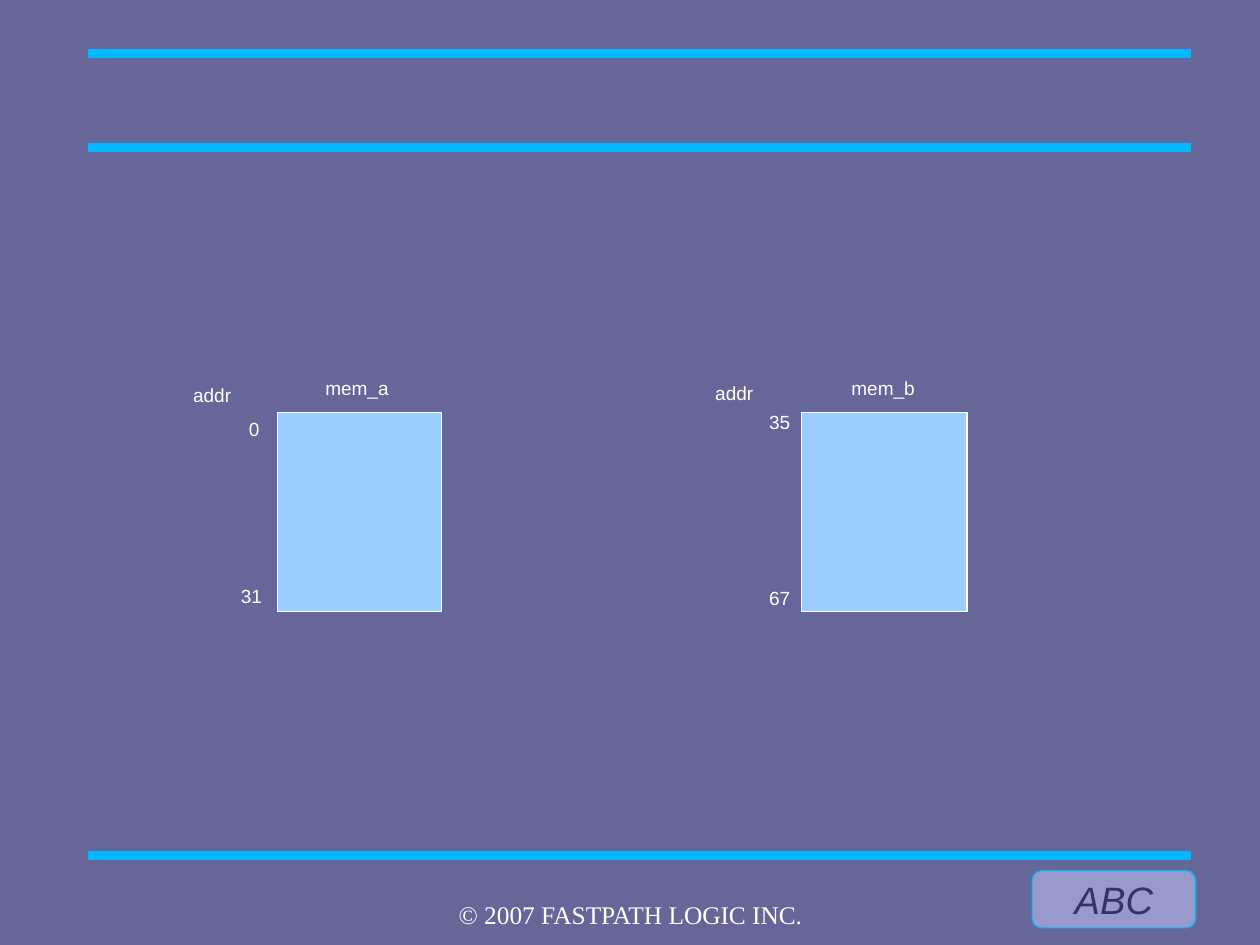
import pptx
import pptx.util
import pptx.dml.color
import pptx.enum.shapes
import pptx.enum.text
import pptx.oxml.ns
import lxml.etree

WIDTH, HEIGHT = pptx.util.Cm(28), pptx.util.Cm(21)
COLORS = {
    "background": "666699",
    "rule": "00B8FF",
    "badge": "9999CC",
    "badge_text": "333366",
    "memory": "99CCFF",
    "white": "FFFFFF",
}

RULE_LEFT, RULE_RIGHT = 6.99, 94.53
RULE_ROWS = [5.71, 90.48, 15.58]
BADGE = ("ABC", (81.92, 92.14, 12.98, 6.05))
COPYRIGHT = ("© 2007 FASTPATH LOGIC INC.", (34.21, 95.18, 31.67, 2.78))
MEMORY_TOP, MEMORY_HEIGHT = 43.67, 21.04
LABEL_WIDTH, NUMBER_WIDTH, LABEL_HEIGHT = 7.89, 3.9, 4.23
MEMORIES = [
    {
        "left": 22.03,
        "width": 13.04,
        "labels": [("mem_a", 24.92, 39.28), ("addr", 14.43, 40.04)],
        "addresses": [("0", 18.87, 43.55), ("31", 18.23, 61.29)],
    },
    {
        "left": 63.59,
        "width": 13.16,
        "labels": [("mem_b", 66.68, 39.28), ("addr", 55.87, 39.82)],
        "addresses": [("35", 60.15, 42.82), ("67", 60.15, 61.45)],
    },
]


def color(name):
    return pptx.dml.color.RGBColor.from_string(COLORS[name])


def across(share):
    return int(WIDTH * share / 100)


def down(share):
    return int(HEIGHT * share / 100)


def place(area):
    left, top, width, height = area
    return across(left), down(top), across(width), down(height)


def add_rule(page, row):
    rule = page.shapes.add_connector(
        pptx.enum.shapes.MSO_CONNECTOR.STRAIGHT,
        across(RULE_LEFT), down(row), across(RULE_RIGHT), down(row),
    )
    rule.line.color.rgb = color("rule")
    rule.line.width = pptx.util.Pt(5.67)
    properties = rule._element.spPr
    lxml.etree.SubElement(properties, pptx.oxml.ns.qn("a:effectLst"))


def add_block(page, kind, area, fill, line):
    block = page.shapes.add_shape(kind, *place(area))
    block.shadow.inherit = False
    block.fill.solid()
    block.fill.fore_color.rgb = color(fill)
    block.line.color.rgb = color(line)
    block.line.width = pptx.util.Pt(0)
    return block


def write(box, text, size, font, ink, centered=False, italic=False, margins=(0, 0)):
    frame = box.text_frame
    frame.word_wrap = True
    frame.margin_left = frame.margin_right = pptx.util.Inches(margins[0])
    frame.margin_top = frame.margin_bottom = pptx.util.Inches(margins[1])
    para = frame.paragraphs[0]
    align = pptx.enum.text.PP_ALIGN
    para.alignment = align.CENTER if centered else align.LEFT
    span = para.add_run()
    span.text = text
    span.font.size = pptx.util.Pt(size)
    span.font.name = font
    span.font.italic = italic
    span.font.color.rgb = color(ink)


def add_label(page, text, left, top, width):
    box = page.shapes.add_textbox(*place((left, top, width, LABEL_HEIGHT)))
    write(box, text, 12, "Arial", "white", margins=(0.1, 0.05))


def main():
    deck = pptx.Presentation()
    deck.slide_width = WIDTH
    deck.slide_height = HEIGHT
    page = deck.slides.add_slide(deck.slide_layouts[6])
    page.background.fill.solid()
    page.background.fill.fore_color.rgb = color("background")
    kinds = pptx.enum.shapes.MSO_SHAPE

    for row in RULE_ROWS:
        add_rule(page, row)

    text, area = BADGE
    badge = add_block(page, kinds.ROUNDED_RECTANGLE, area, "badge", "rule")
    badge.text_frame.vertical_anchor = pptx.enum.text.MSO_ANCHOR.MIDDLE
    write(badge, text, 24, "Arial", "badge_text", centered=True, italic=True)

    for memory in MEMORIES:
        area = (memory["left"], MEMORY_TOP, memory["width"], MEMORY_HEIGHT)
        add_block(page, kinds.RECTANGLE, area, "memory", "white")
        for text, left, top in memory["labels"]:
            add_label(page, text, left, top, LABEL_WIDTH)
        for text, left, top in memory["addresses"]:
            add_label(page, text, left, top, NUMBER_WIDTH)

    text, area = COPYRIGHT
    notice = page.shapes.add_textbox(*place(area))
    write(notice, text, 16, "Times New Roman", "white", centered=True)

    deck.save("out.pptx")


if __name__ == "__main__":
    main()
